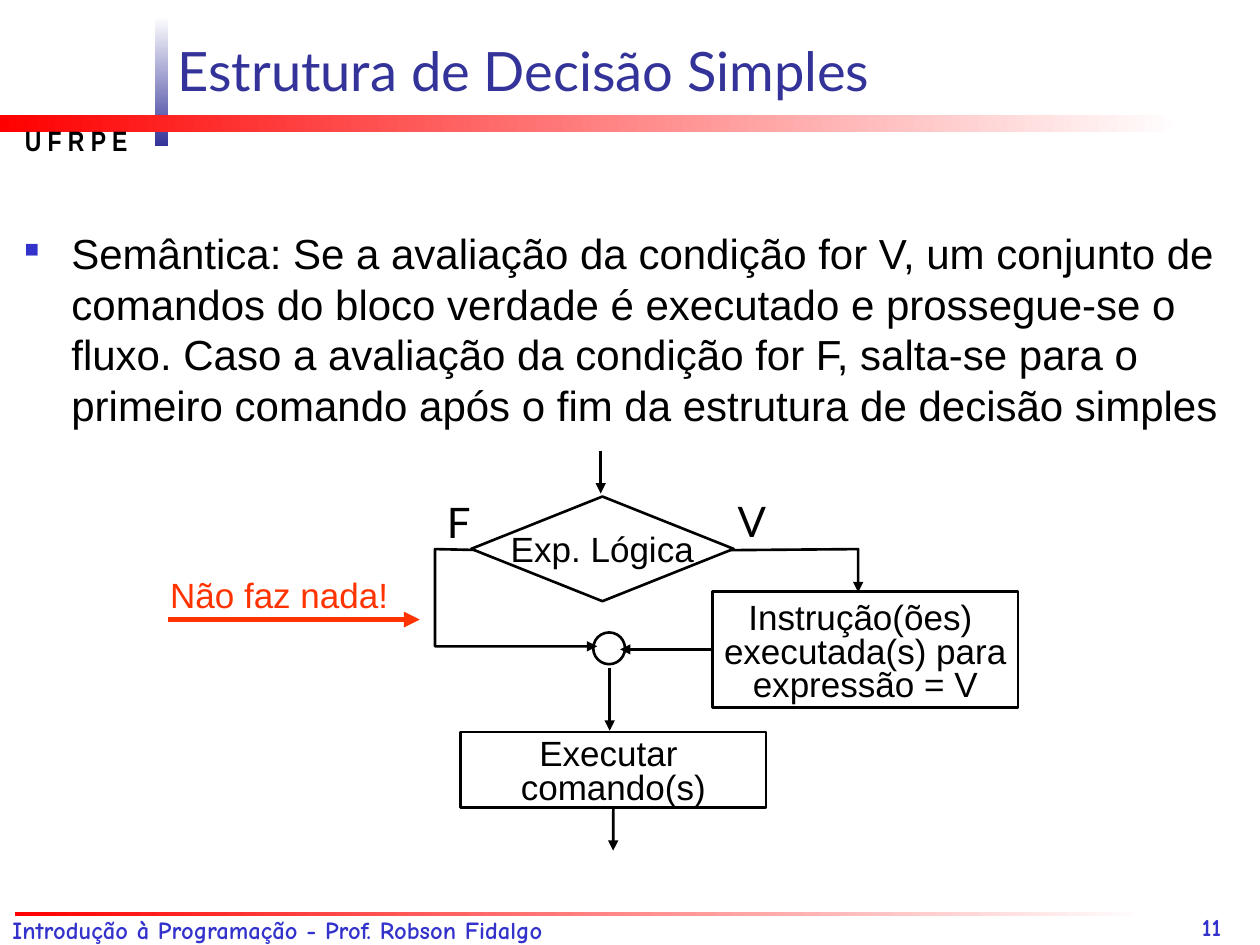
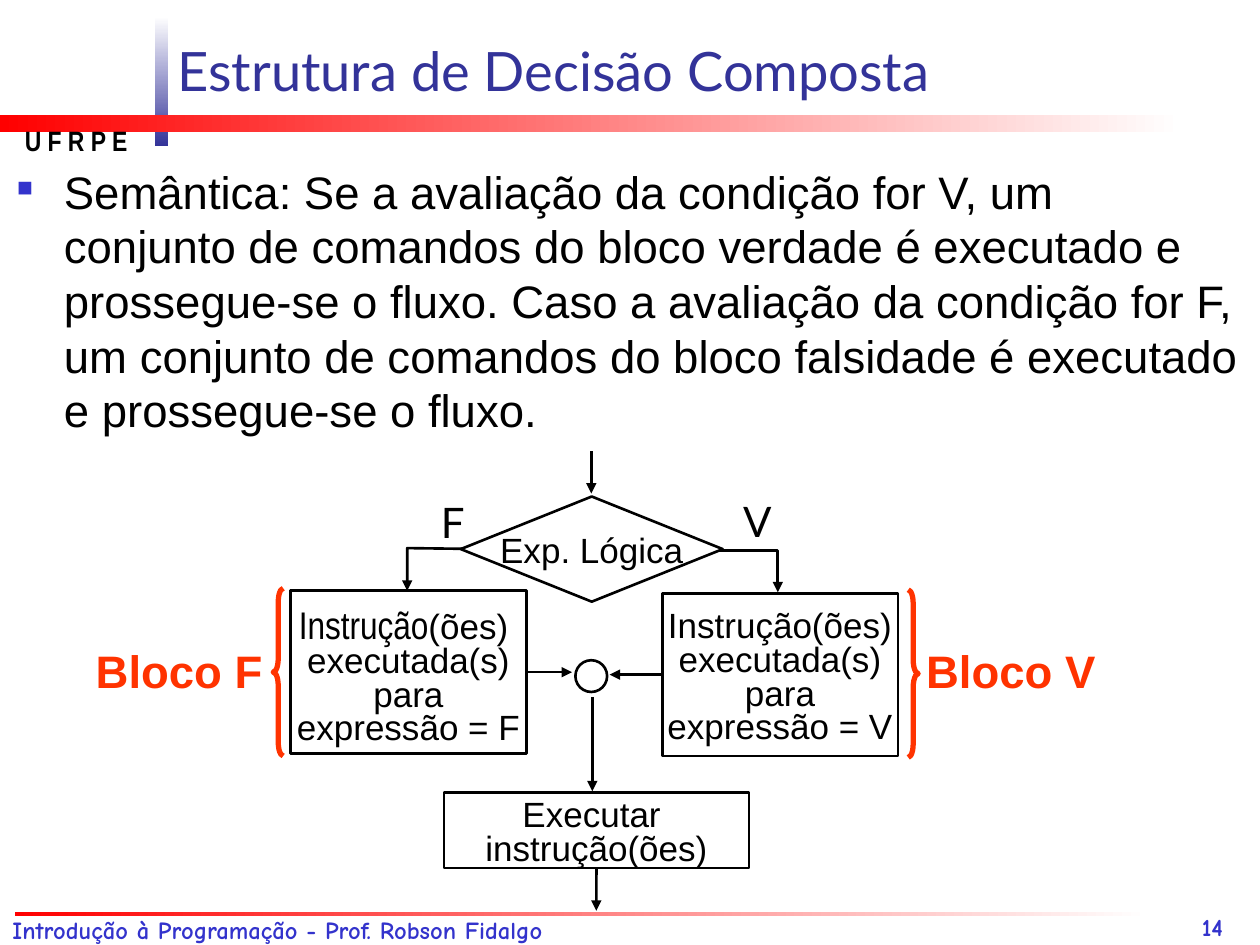
from dataclasses import dataclass

from lxml.etree import SubElement
from pptx import Presentation
from pptx.dml.color import RGBColor
from pptx.enum.shapes import MSO_CONNECTOR, MSO_SHAPE
from pptx.enum.text import MSO_ANCHOR, PP_ALIGN
from pptx.oxml.ns import qn
from pptx.util import Cm, Pt


@dataclass(frozen=True)
class Theme:
    white: RGBColor = RGBColor(0xFF, 0xFF, 0xFF)
    black: RGBColor = RGBColor(0x00, 0x00, 0x00)
    navy: RGBColor = RGBColor(0x33, 0x33, 0x99)
    blue: RGBColor = RGBColor(0x33, 0x33, 0xCC)
    red: RGBColor = RGBColor(0xFF, 0x00, 0x00)
    orange: RGBColor = RGBColor(0xFF, 0x33, 0x00)
    body_font: str = "Arial"
    narrow_font: str = "Arial Narrow"
    title_font: str = "Lato"
    footer_font: str = "Comic Neue"
    title_size: int = 31
    branch_size: int = 24
    block_size: int = 26
    node_size: int = 20
    narrow_size: int = 22
    school_size: int = 16
    footer_size: int = 14
    thin: float = 1.5
    thick: float = 3


theme = Theme()


def write(shape, text, font, size, color, bold=False, wrap=False):
    """Fill a shape's text frame; each line of text becomes a paragraph."""
    frame = shape.text_frame
    frame.text = text
    frame.word_wrap = wrap
    for para in frame.paragraphs:
        for span in para.runs:
            span.font.name = font
            span.font.size = Pt(size)
            span.font.color.rgb = color
            span.font.bold = bold
    return frame


def outline(shape, color=theme.black, width=theme.thin, arrow=False):
    """Draw a plain line without shadow, with an arrowhead at its end if asked."""
    shape.line.color.rgb = color
    shape.line.width = Pt(width)
    if arrow:
        SubElement(shape.line._get_or_add_ln(), qn("a:tailEnd"), type="triangle")
    if hasattr(shape, "shadow"):
        shape.shadow.inherit = False
    else:
        SubElement(shape._element.spPr, qn("a:effectLst"))


# Gradient bars on every page: place, first colour, last colour, angle
bars = [
    ((3.13, 0.33, 0.26, 2.62), theme.white, theme.navy, 270),
    ((0, 2.32, 23.83, 0.35), theme.red, theme.white, 0),
    ((0.3, 18.39, 22.86, 0.08), theme.red, theme.white, 0),
]
process, decision, junction = (
    MSO_SHAPE.FLOWCHART_PROCESS,
    MSO_SHAPE.FLOWCHART_DECISION,
    MSO_SHAPE.FLOWCHART_CONNECTOR,
)

# Nodes: kind, place, text, space above the text.
# Arrows: each end is a point or a (node, side) pair.
pages = [
    {
        "title": "Estrutura de Decisão Simples",
        "number": "11",
        "body": "Semântica: Se a avaliação da condição for V, um conjunto de comandos do "
                "bloco verdade é executado e prossegue-se o fluxo. Caso a avaliação da condição "
                "for F, salta-se para o primeiro comando após o fim da estrutura de decisão simples",
        "body_place": (0.24, 4.47, 24.97, 4.4),
        "body_size": 24,
        "elbows": [
            [(13.69, 11.1), (17.3, 11.07), (17.3, 11.94)],
            [(10.16, 11.1), (8.77, 11.07), (8.77, 13.03), (12.04, 13.03)],
        ],
        "nodes": {
            "test": (decision, (9.5, 10.01, 5.29, 2.11), "Exp. Lógica", 0.13),
            "true": (process, (14.37, 11.92, 6.15, 2.34),
                     "Instrução(ões) \nexecutada(s) para\nexpressão = V", 0.25),
            "next": (process, (9.29, 14.76, 6.15, 1.52), "Executar \ncomando(s)", 0.15),
            "join": (junction, (11.96, 12.75, 0.64, 0.64), "", 0),
        },
        "arrows": [
            ((12.11, 9.1), (12.11, 9.95)),
            (("true", 1), (12.5, 13.09)),
            ((12.29, 13.46), (12.29, 14.73)),
            (("next", 2), (12.36, 17.15)),
        ],
        "branches": [("V", 14.62, 9.86), ("F", 8.76, 9.88)],
    },
    {
        "title": "Estrutura de Decisão Composta",
        "number": "14",
        "body": "Semântica: Se a avaliação da condição for V, um \vconjunto de comandos do "
                "bloco verdade é executado e prossegue-se o fluxo. Caso a avaliação da condição "
                "for F, um conjunto de comandos do bloco falsidade é executado e prossegue-se o fluxo.",
        "body_place": (0.09, 3.18, 25.25, 5.8),
        "body_size": 26,
        "elbows": [
            [(14.1, 11.1), (15.68, 11.1), (15.68, 11.94)],
            [(9.78, 11.07), (8.21, 11.05), (8.21, 11.91)],
        ],
        "nodes": {
            "test": (decision, (9.29, 10.01, 5.28, 2.12), "Exp. Lógica", 0.13),
            "true": (process, (13.35, 11.96, 4.75, 3.28),
                     "Instrução(ões) \nexecutada(s) para\nexpressão = V", 0.38),
            "false": (process, (5.86, 11.91, 4.75, 3.28),
                      "Instrução(ões) \nexecutada(s) para\nexpressão = F", 0.38),
            "next": (process, (8.95, 15.98, 6.15, 1.52), "Executar \ninstrução(ões)", 0.17),
            "join": (junction, (11.6, 13.31, 0.64, 0.64), "", 0),
        },
        "arrows": [
            ((11.92, 9.1), (11.92, 9.95)),
            (("true", 1), (12.29, 13.6)),
            (("false", 3), (11.53, 13.55)),
            ((11.94, 14.05), (11.94, 15.95)),
            (("next", 2), (12.02, 18.36)),
        ],
        "branches": [("V", 14.73, 9.86), ("F", 8.64, 9.88)],
    },
]

deck = Presentation()
deck.slide_width, deck.slide_height = Cm(25.4), Cm(19.05)
drawn = []

for content in pages:
    page = deck.slides.add_slide(deck.slide_layouts[6])

    # Bars, footer and school name
    for place, first, last, angle in bars:
        bar = page.shapes.add_shape(MSO_SHAPE.RECTANGLE, *map(Cm, place))
        bar.shadow.inherit = False
        bar.line.fill.background()
        bar.fill.gradient()
        bar.fill.gradient_angle = angle
        for stop, color in zip(bar.fill.gradient_stops, (first, last)):
            stop.color.rgb = color
    footer = page.shapes.add_textbox(Cm(0), Cm(18.33), Cm(15.93), Cm(0.7))
    write(footer, "Introdução à Programação - Prof. Robson Fidalgo",
          theme.footer_font, theme.footer_size, theme.blue, bold=True, wrap=True)
    school = page.shapes.add_textbox(Cm(0.25), Cm(2.36), Cm(2.59), Cm(0.94))
    write(school, "U F R P E", theme.narrow_font, theme.school_size, theme.black, bold=True)
    number = page.shapes.add_textbox(Cm(23.98), Cm(17.83), Cm(1.4), Cm(1.22))
    frame = write(number, content["number"], theme.footer_font, theme.footer_size, theme.blue,
                  bold=True, wrap=True)
    frame.vertical_anchor = MSO_ANCHOR.BOTTOM
    frame.margin_bottom = Cm(0.07)

    # Title
    title = page.shapes.add_textbox(Cm(3.33), Cm(0.45), Cm(21.8), Cm(1.73))
    write(title, content["title"], theme.title_font, theme.title_size, theme.navy,
          wrap=True).vertical_anchor = MSO_ANCHOR.BOTTOM

    # Bulleted explanation
    body = page.shapes.add_textbox(*map(Cm, content["body_place"]))
    para = write(body, content["body"], theme.body_font, content["body_size"],
                 theme.black, wrap=True).paragraphs[0]
    properties = para._p.get_or_add_pPr()
    properties.set("marL", str(Cm(0.95)))
    properties.set("indent", str(-Cm(0.95)))
    bullet_color = SubElement(properties, qn("a:buClr"))
    SubElement(bullet_color, qn("a:srgbClr"), val=str(theme.blue))
    SubElement(properties, qn("a:buSzPct"), val="48000")
    SubElement(properties, qn("a:buChar"), char="■")

    # Bent arrows leaving the decision, partly behind it
    for points in content["elbows"]:
        start, *rest = [(Cm(x), Cm(y)) for x, y in points]
        builder = page.shapes.build_freeform(*start)
        builder.add_line_segments(rest, close=False)
        elbow = builder.convert_to_shape()
        elbow.fill.background()
        outline(elbow, arrow=True)

    # Flowchart nodes
    nodes = {}
    for name, (kind, place, text, space_above) in content["nodes"].items():
        node = nodes[name] = page.shapes.add_shape(kind, *map(Cm, place))
        outline(node)
        if kind == junction:
            node.fill.background()
            continue
        node.fill.solid()
        node.fill.fore_color.rgb = theme.white
        frame = write(node, text, theme.body_font, theme.node_size, theme.black,
                      wrap=kind == process)
        frame.margin_top = Cm(space_above)
        frame.margin_left = frame.margin_right = Cm(0.05)
        frame.vertical_anchor = MSO_ANCHOR.TOP if kind == process else MSO_ANCHOR.MIDDLE
        for para in frame.paragraphs:
            para.alignment = PP_ALIGN.CENTER
            para.line_spacing = 0.8 if kind == process else 1.0
    drawn.append((page, nodes))

    # Straight arrows
    for start, end in content["arrows"]:
        points = [(0, 0) if isinstance(tip[0], str) else tip for tip in (start, end)]
        arrow = page.shapes.add_connector(
            MSO_CONNECTOR.STRAIGHT, *[Cm(value) for point in points for value in point])
        for tip, connect in ((start, arrow.begin_connect), (end, arrow.end_connect)):
            if isinstance(tip[0], str):
                connect(nodes[tip[0]], tip[1])
        outline(arrow, arrow=True)

    # Branch letters
    for letter, left, top in content["branches"]:
        label = page.shapes.add_textbox(Cm(left), Cm(top), Cm(1), Cm(1.27))
        write(label, letter, theme.title_font, theme.branch_size, theme.black)

(simple_page, _), (compound_page, compound_nodes) = drawn

# Remark beside the empty branch
remark = simple_page.shapes.add_textbox(Cm(3.18), Cm(11.43), Cm(5.2), Cm(1.12))
write(remark, "Não faz nada!", theme.body_font, theme.node_size, theme.orange, wrap=True)
pointer = simple_page.shapes.add_connector(
    MSO_CONNECTOR.STRAIGHT, Cm(3.38), Cm(12.49), Cm(8.46), Cm(12.49))
outline(pointer, theme.orange, theme.thick, arrow=True)

# Narrow word in the false block
para = compound_nodes["false"].text_frame.paragraphs[0]
word = para.runs[0]
word.text = "Instrução"
word.font.name, word.font.size = theme.narrow_font, Pt(theme.narrow_size)
span = para.add_run()
span.text = "(ões) "
span.font.name, span.font.size = theme.body_font, Pt(theme.node_size)
span.font.color.rgb = theme.black

# Braces naming the two blocks
for text, left, kind, brace_left, brace_top in [
    ("Bloco F", 1.68, MSO_SHAPE.LEFT_BRACE, 5.51, 11.86),
    ("Bloco V", 18.42, MSO_SHAPE.RIGHT_BRACE, 18.31, 11.89),
]:
    label = compound_page.shapes.add_textbox(Cm(left), Cm(12.83), Cm(4.2), Cm(1.37))
    write(label, text, theme.body_font, theme.block_size, theme.orange, bold=True, wrap=True)
    brace = compound_page.shapes.add_shape(kind, Cm(brace_left), Cm(brace_top), Cm(0.2), Cm(3.38))
    brace.adjustments[0] = 1.39
    brace.fill.background()
    outline(brace, theme.orange, theme.thick)

deck.save("out.pptx")
